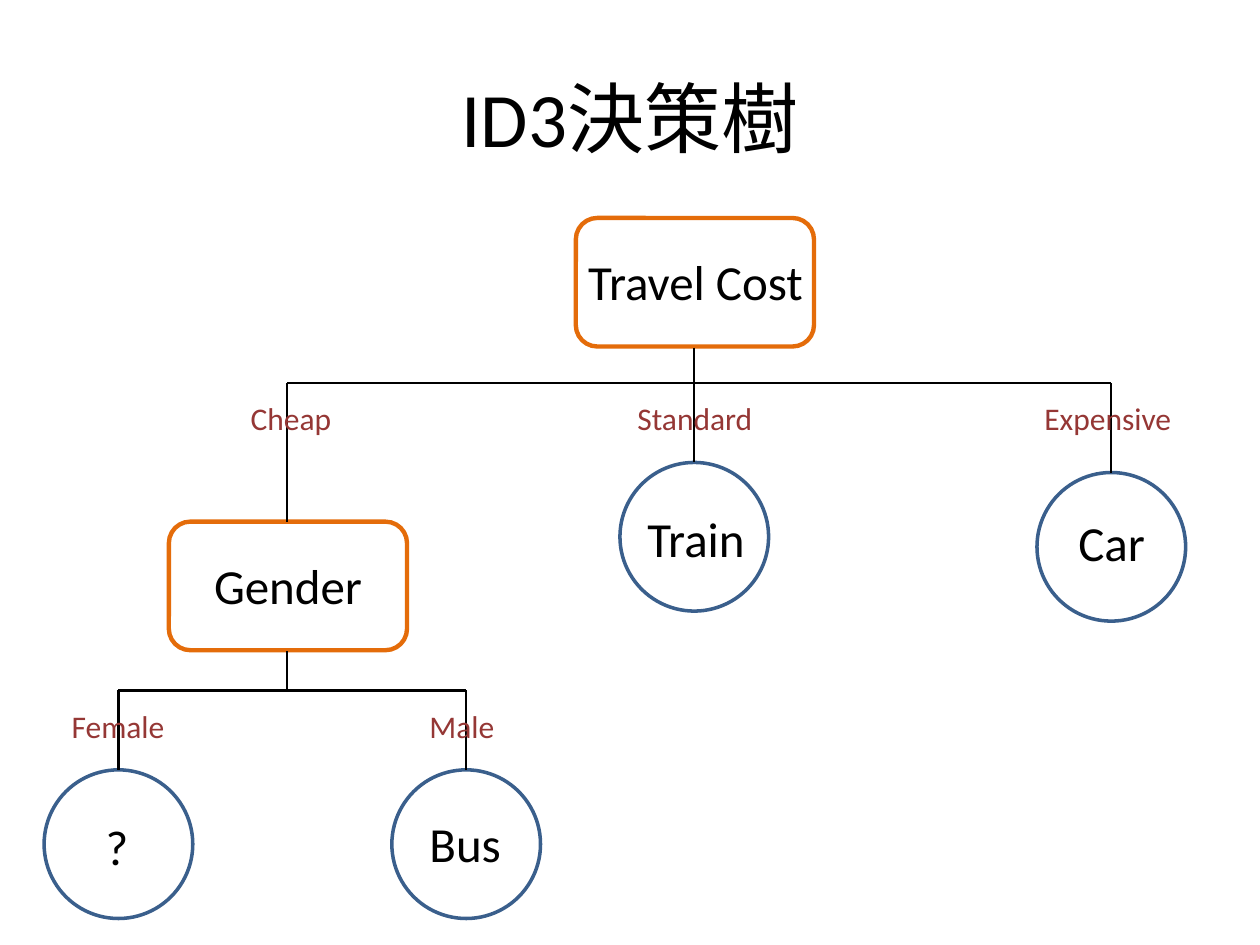
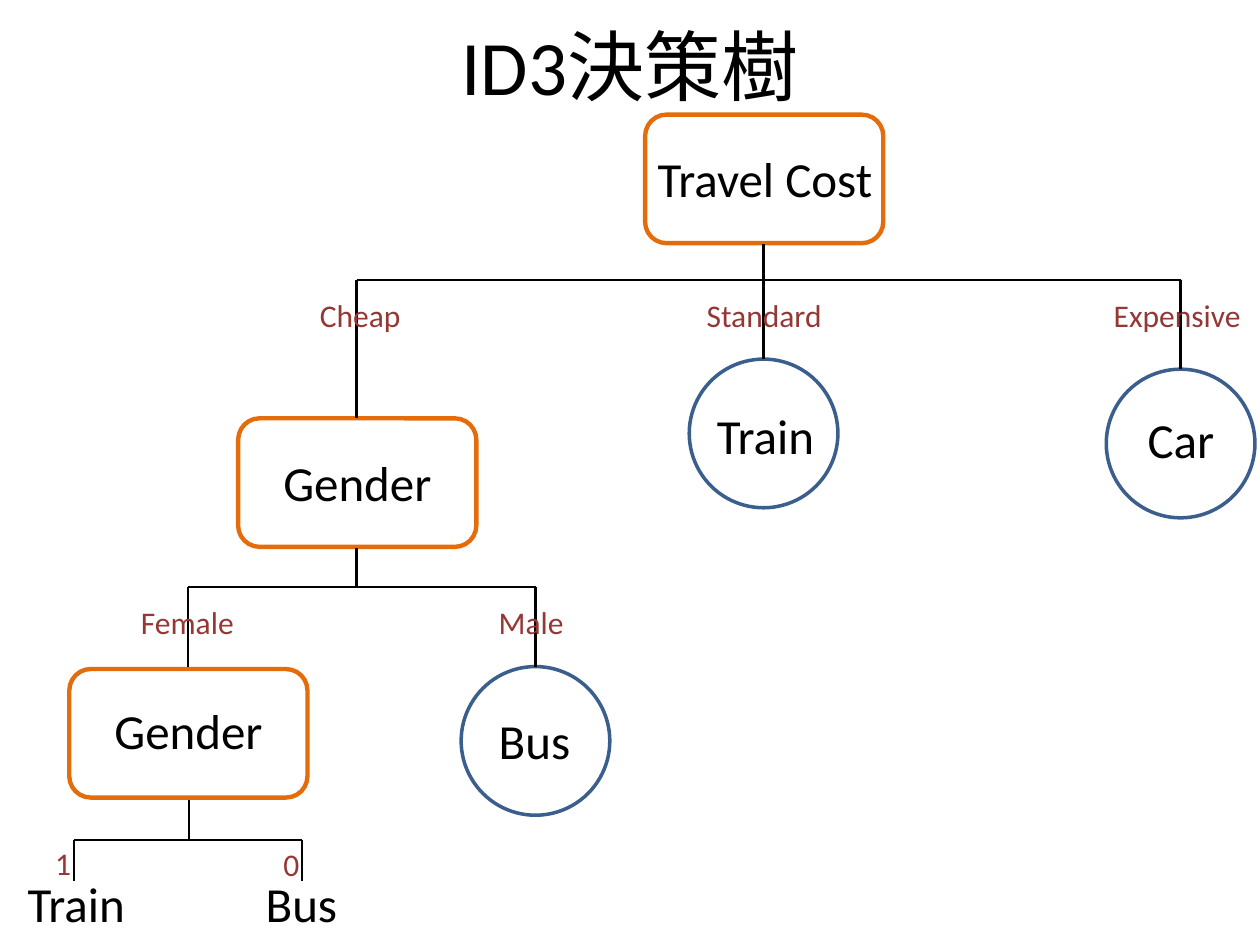
"""Build two slides that grow an ID3 decision tree for travel choices."""
import pptx
import pptx.dml.color
import pptx.enum.shapes
import pptx.enum.text
import pptx.oxml
import pptx.oxml.ns
import pptx.util

Inches = pptx.util.Inches
Pt = pptx.util.Pt
RGBColor = pptx.dml.color.RGBColor
MSO_SHAPE = pptx.enum.shapes.MSO_SHAPE

BLACK = RGBColor(0x00, 0x00, 0x00)
ORANGE = RGBColor(0xE4, 0x6C, 0x0A)
BLUE = RGBColor(0x3A, 0x5F, 0x8C)
DARK_RED = RGBColor(0x95, 0x37, 0x35)

TITLE_FONT = {"name": "Calibri", "size": Pt(44)}
NODE_FONT = {"name": "Calibri", "size": Pt(28)}
BRANCH_FONT = {"name": "Calibri", "size": Pt(18)}

DECISION = {"kind": MSO_SHAPE.ROUNDED_RECTANGLE, "width": 1.89, "height": 1.02,
            "color": ORANGE, "weight": 2.5}
LEAF = {"kind": MSO_SHAPE.OVAL, "width": 1.18, "height": 1.18,
        "color": BLUE, "weight": 2}

SHARED_NODES = [
    (DECISION, 4.57, 1.73), (LEAF, 4.92, 3.67), (LEAF, 8.23, 3.75),
    (DECISION, 1.34, 4.14), (LEAF, 3.11, 6.11),
]
SHARED_FORKS = [
    {"stem": (5.51, 2.76, 3.67), "bar": 3.04, "drops": [(2.28, 4.14), (8.82, 3.75)]},
    {"stem": (2.28, 5.17, 5.48), "bar": 5.48, "drops": [(0.94, 6.11), (3.7, 6.11)]},
]
SHARED_NODE_NAMES = [
    ("Travel Cost", 4.57, 1.95, 1.92), ("Train", 5.04, 3.99, 0.98),
    ("Car", 8.46, 4.02, 0.73), ("Gender", 1.6, 4.36, 1.39), ("Bus", 3.31, 6.41, 0.78),
]
SHARED_BRANCH_NAMES = [
    ("Standard", 4.96, 3.12, 1.12), ("Expensive", 8.19, 3.12, 1.22),
    ("Cheap", 1.89, 3.12, 0.85), ("Female", 0.47, 5.56, 0.95), ("Male", 3.31, 5.56, 0.72),
]

SLIDES = [
    {"shift": (0, 0), "title_top": 0.3, "nodes": [(LEAF, 0.35, 6.11)], "forks": [],
     "node_names": [("?", 0.74, 6.43, 0.38)], "branch_names": []},
    {"shift": (0.55, -0.82), "title_top": -0.11, "nodes": [(DECISION, 0, 6.13)],
     "forks": [{"stem": (0.95, 7.17, 7.49), "bar": 7.49,
                "drops": [(0.04, 7.81), (1.85, 7.81)]}],
     "node_names": [("Gender", 0.26, 6.33, 1.39), ("Train", -0.43, 7.7, 0.98),
                    ("Bus", 1.46, 7.7, 0.78)],
     "branch_names": [("1", -0.21, 7.47, 0.33), ("0", 1.6, 7.48, 0.33)]},
]


def add_text(page, text, left, top, width, height, font, color):
    """Add a one-paragraph text box and return it."""
    box = page.shapes.add_textbox(Inches(left), Inches(top), Inches(width), Inches(height))
    box.text_frame.word_wrap = False
    box.text_frame.auto_size = pptx.enum.text.MSO_AUTO_SIZE.SHAPE_TO_FIT_TEXT
    span = box.text_frame.paragraphs[0].add_run()
    span.text = text
    for name, value in font.items():
        setattr(span.font, name, value)
    span.font.color.rgb = color
    return box


def add_line(page, x1, y1, x2, y2):
    """Add a thin black line without a shadow."""
    line = page.shapes.add_connector(
        pptx.enum.shapes.MSO_CONNECTOR.STRAIGHT,
        Inches(x1), Inches(y1), Inches(x2), Inches(y2))
    line.line.color.rgb = BLACK
    line.line.width = Pt(1.25)
    properties = line._element.spPr
    properties.append(pptx.oxml.parse_xml(
        f"<a:effectLst {pptx.oxml.ns.nsdecls('a')}/>"))


deck = pptx.Presentation()
deck.slide_width = Inches(10)
deck.slide_height = Inches(7.5)

for content in SLIDES:
    page = deck.slides.add_slide(deck.slide_layouts[6])
    dx, dy = content["shift"]

    for style, left, top in SHARED_NODES + content["nodes"]:
        node = page.shapes.add_shape(
            style["kind"], Inches(left + dx), Inches(top + dy),
            Inches(style["width"]), Inches(style["height"]))
        node.shadow.inherit = False
        node.fill.background()
        node.line.color.rgb = style["color"]
        node.line.width = Pt(style["weight"])

    for fork in SHARED_FORKS + content["forks"]:
        x, top, bottom = fork["stem"]
        bar = fork["bar"] + dy
        drops = fork["drops"]
        add_line(page, x + dx, top + dy, x + dx, bottom + dy)
        add_line(page, drops[0][0] + dx, bar, drops[-1][0] + dx, bar)
        for x, bottom in drops:
            add_line(page, x + dx, bar, x + dx, bottom + dy)

    for text, left, top, width in SHARED_NODE_NAMES + content["node_names"]:
        add_text(page, text, left + dx, top + dy, width, 0.57, NODE_FONT, BLACK)
    for text, left, top, width in SHARED_BRANCH_NAMES + content["branch_names"]:
        add_text(page, text, left + dx, top + dy, width, 0.4, BRANCH_FONT, DARK_RED)

    title = add_text(page, "ID3決策樹", 0.5, content["title_top"], 9, 1.25, TITLE_FONT, BLACK)
    title.text_frame.word_wrap = True
    title.text_frame.auto_size = pptx.enum.text.MSO_AUTO_SIZE.NONE
    title.text_frame.vertical_anchor = pptx.enum.text.MSO_ANCHOR.MIDDLE
    title.text_frame.paragraphs[0].alignment = pptx.enum.text.PP_ALIGN.CENTER

deck.save("out.pptx")
